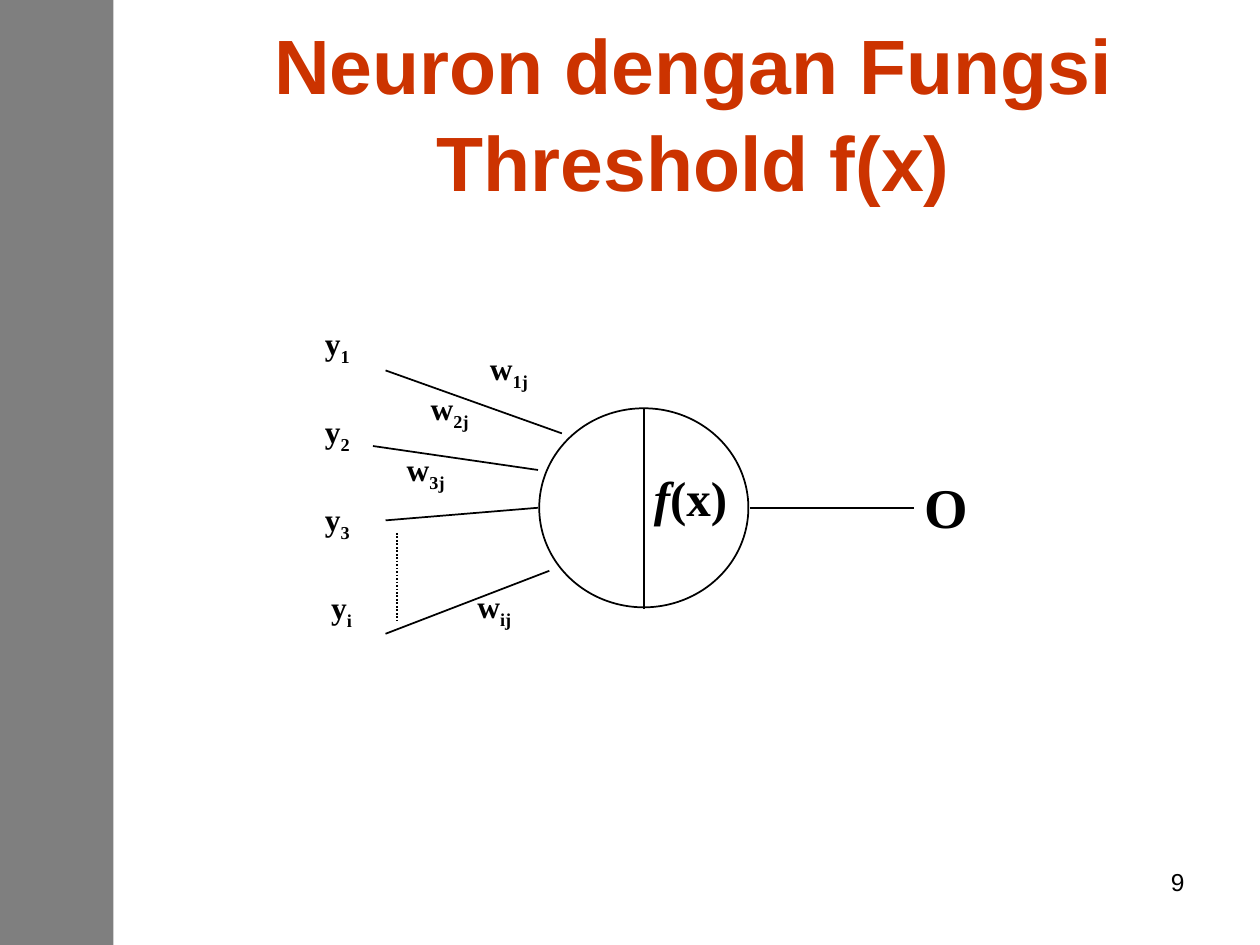
from lxml import etree
from pptx import Presentation
from pptx.dml.color import RGBColor
from pptx.enum import dml, shapes, text
from pptx.oxml.ns import qn
from pptx.util import Inches, Pt

BLACK = RGBColor(0x00, 0x00, 0x00)
WHITE = RGBColor(0xFF, 0xFF, 0xFF)
TITLE_RED = RGBColor(0xCC, 0x33, 0x00)
SERIF = "Times New Roman"
SANS = "Arial"


def set_font(font, name, size, color=BLACK, bold=False):
    font.name, font.size, font.bold = name, Pt(size), bold
    font.color.rgb = color


def add_title(slide, wording):
    title = slide.shapes.title
    title.left, title.top = Inches(1.42), Inches(0.33)
    title.width, title.height = Inches(8.17), Inches(1.08)
    frame = title.text_frame
    frame.text = wording
    frame.word_wrap = True
    frame.auto_size = text.MSO_AUTO_SIZE.NONE
    frame.vertical_anchor = text.MSO_ANCHOR.MIDDLE
    heading = frame.paragraphs[0]
    heading.alignment = text.PP_ALIGN.CENTER
    heading.line_spacing = 1.05
    set_font(heading.font, SANS, 44, TITLE_RED, bold=True)


def add_side_band(slide):
    band = slide.shapes.add_shape(shapes.MSO_SHAPE.RECTANGLE, 0, 0, Inches(0.9), Inches(7.5))
    band.shadow.inherit = False
    band.fill.solid()
    band.fill.fore_color.rgb = BLACK
    band.line.fill.background()
    # Half-transparent black
    color = band.fill._xPr.find(qn("a:solidFill"))[0]
    etree.SubElement(color, qn("a:alpha")).set("val", "50000")


def add_cell_body(slide, left, top, width, height):
    body = slide.shapes.add_shape(shapes.MSO_SHAPE.OVAL, Inches(left), Inches(top),
                                  Inches(width), Inches(height))
    body.shadow.inherit = False
    body.fill.solid()
    body.fill.fore_color.rgb = WHITE
    body.line.color.rgb = BLACK
    body.line.width = Pt(1)


def add_line(slide, start, end, dash=None):
    link = slide.shapes.add_connector(shapes.MSO_CONNECTOR.STRAIGHT,
                                      *map(Inches, start), *map(Inches, end))
    link.line.color.rgb = BLACK
    link.line.width = Pt(1)
    if dash:
        link.line.dash_style = dash
    etree.SubElement(link._element.spPr, qn("a:effectLst"))


def add_text(slide, box, wording, name, size, bold=False):
    frame = slide.shapes.add_textbox(*map(Inches, box)).text_frame
    frame.word_wrap = True
    paragraph = frame.paragraphs[0]
    set_font(paragraph.font, name, size, bold=bold)
    paragraph.add_run().text = wording
    return paragraph


def add_symbol(slide, left, top, base, index):
    """A variable with its subscript."""
    symbol = add_text(slide, (left, top, 0.7, 0.59), base, SERIF, 18, bold=True)
    subscript = symbol.add_run()
    subscript.text = index
    subscript._r.get_or_add_rPr().set("baseline", "-25000")


def main():
    prs = Presentation()
    prs.slide_width, prs.slide_height = Inches(10), Inches(7.5)
    slide = prs.slides.add_slide(prs.slide_layouts[5])

    # Frame of the slide
    add_side_band(slide)
    page = add_text(slide, (7.17, 6.83, 2.33, 0.52), "9", SANS, 14)
    page.alignment = text.PP_ALIGN.RIGHT
    add_title(slide, "Neuron dengan Fungsi Threshold f(x)")

    # Neuron and its incoming links
    add_cell_body(slide, 4.28, 3.24, 1.66, 1.58)
    for start, end in [((4.46, 3.44), (3.06, 2.94)), ((4.27, 3.73), (2.96, 3.54)),
                       ((4.27, 4.03), (3.06, 4.13)), ((4.36, 4.53), (3.06, 5.03))]:
        add_line(slide, start, end)

    # Weights
    for index, left, top in [("1j", 3.79, 2.72), ("2j", 3.32, 3.04),
                             ("3j", 3.13, 3.52), ("ij", 3.69, 4.61)]:
        add_symbol(slide, left, top, "w", index)

    # Inputs, evenly spaced downwards
    for row, index in enumerate("123i"):
        add_symbol(slide, 2.53 if index == "i" else 2.48, 2.52 + 0.7 * row, "y", index)
    add_line(slide, (3.15, 4.23), (3.15, 4.93), dml.MSO_LINE.ROUND_DOT)

    # Threshold function and output
    add_line(slide, (5.11, 3.24), (5.11, 4.83))
    threshold = add_text(slide, (5.09, 3.66, 0.88, 0.68), "f", SERIF, 28, bold=True)
    threshold.runs[0].font.italic = True
    threshold.add_run().text = "(x)"
    add_line(slide, (5.95, 4.03), (7.25, 4.03))
    add_text(slide, (7.24, 3.7, 0.61, 0.75), "O", SERIF, 32, bold=True)

    prs.save("out.pptx")


if __name__ == "__main__":
    main()
